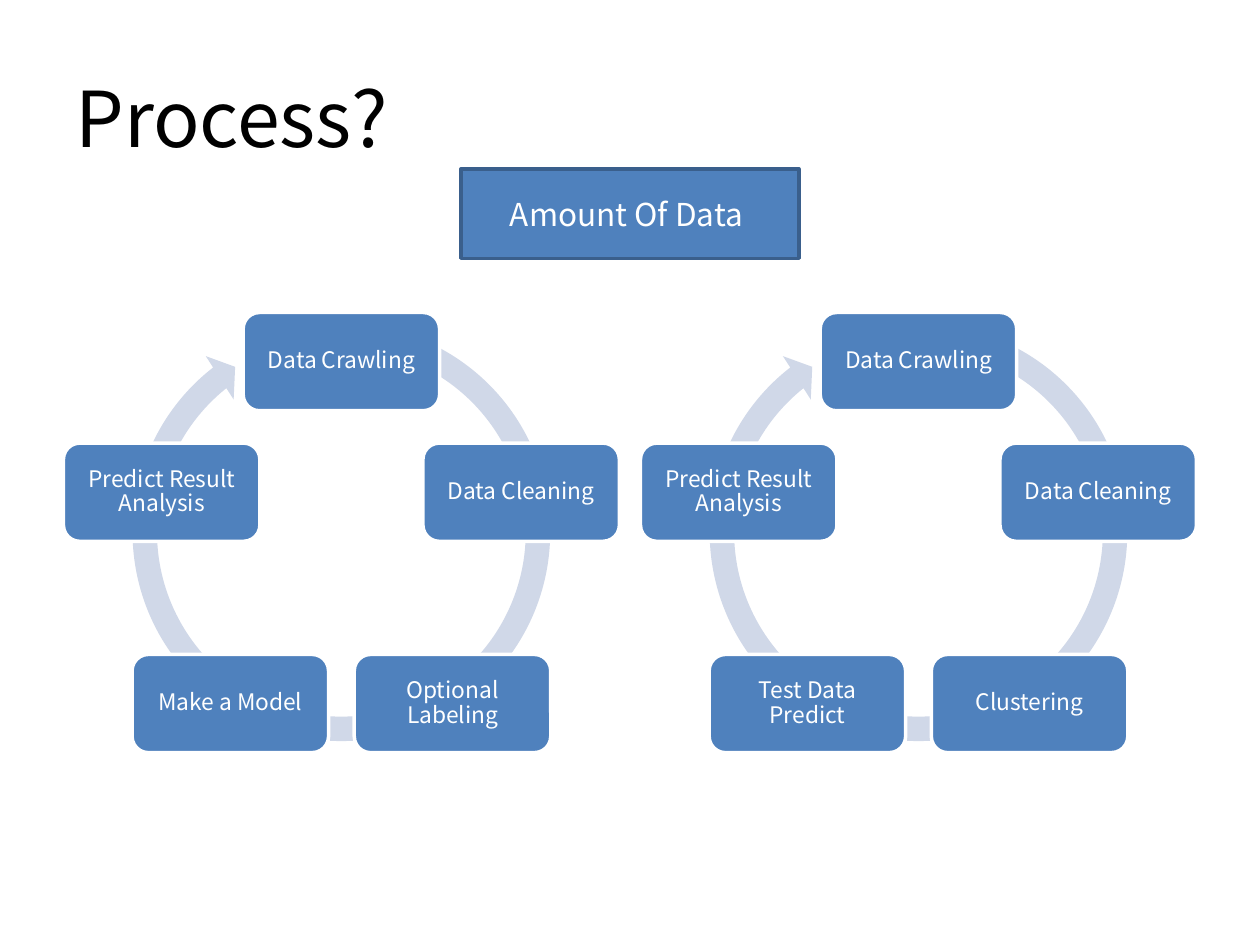
import math
from dataclasses import dataclass

from pptx import Presentation
from pptx.dml.color import RGBColor
from pptx.enum import shapes, text
from pptx.util import Inches, Pt

FONT = "Noto Sans CJK KR"
BLACK = RGBColor(0x00, 0x00, 0x00)
WHITE = RGBColor(0xFF, 0xFF, 0xFF)
BLUE = RGBColor(0x4F, 0x81, 0xBD)
DARK_BLUE = RGBColor(0x3A, 0x5F, 0x8C)
PALE_BLUE = RGBColor(0xD0, 0xD8, 0xE8)

STEP_W, STEP_H = 1.56, 0.78
STEP_RADIUS, STEP_CENTER_Y = 1.5, 4.37
ARROW_SIZE, ARROW_TOP = 3.53, 2.46
ARROW_ADJUSTMENTS = (0.055, 3.307, 139.063, 173.071, 0.058)


@dataclass
class Cycle:
    center_x: float
    steps: tuple[str, ...]


CYCLES = (
    Cycle(2.71, ("Data Crawling", "Data Cleaning", "Optional Labeling",
                 "Make a Model", "Predict Result Analysis")),
    Cycle(7.29, ("Data Crawling", "Data Cleaning", "Clustering",
                 "Test Data Predict", "Predict Result Analysis")),
)


def set_text(s, words: str, size: float, color: RGBColor, align, spacing=None) -> None:
    tf = s.text_frame
    tf.text = words
    tf.word_wrap = True
    tf.vertical_anchor = text.MSO_ANCHOR.MIDDLE
    p = tf.paragraphs[0]
    p.alignment = align
    p.line_spacing = spacing
    font = p.runs[0].font
    font.name, font.size, font.color.rgb = FONT, Pt(size), color


def add_filled(sp, kind, left: float, top: float, width: float, height: float,
               fill: RGBColor, line: RGBColor | None = None):
    s = sp.add_shape(kind, Inches(left), Inches(top), Inches(width), Inches(height))
    s.shadow.inherit = False
    s.fill.solid()
    s.fill.fore_color.rgb = fill
    if line is None:
        s.line.fill.background()
    else:
        s.line.color.rgb = line
        s.line.width = Pt(2)
    return s


def add_step(sp, words: str, x: float, y: float) -> None:
    """Draw one rounded box centred on x, y."""
    s = add_filled(sp, shapes.MSO_SHAPE.ROUNDED_RECTANGLE, x - STEP_W / 2,
                   y - STEP_H / 2, STEP_W, STEP_H, BLUE, WHITE)
    tf = s.text_frame
    tf.margin_left = tf.margin_right = Inches(0.05)
    tf.margin_top = tf.margin_bottom = Inches(0.05)
    set_text(s, words, 13, WHITE, text.PP_ALIGN.CENTER, 0.9)


def add_cycle(sp, cycle: Cycle) -> None:
    """Draw the round arrow, then the steps clockwise from the top."""
    arrow = add_filled(sp, shapes.MSO_SHAPE.CIRCULAR_ARROW,
                       cycle.center_x - ARROW_SIZE / 2, ARROW_TOP,
                       ARROW_SIZE, ARROW_SIZE, PALE_BLUE)
    for i, value in enumerate(ARROW_ADJUSTMENTS):
        arrow.adjustments[i] = value
    for i, words in enumerate(cycle.steps):
        angle = math.tau * i / len(cycle.steps)
        add_step(sp, words, cycle.center_x + STEP_RADIUS * math.sin(angle),
                 STEP_CENTER_Y - STEP_RADIUS * math.cos(angle))


def main() -> None:
    prs = Presentation()
    prs.slide_width, prs.slide_height = Inches(10), Inches(7.5)
    sp = prs.slides.add_slide(prs.slide_layouts[6]).shapes

    title = sp.add_textbox(Inches(0.5), Inches(0.3), Inches(9), Inches(1.25))
    set_text(title, "Process?", 44, BLACK, text.PP_ALIGN.LEFT)

    for cycle in CYCLES:
        add_cycle(sp.add_group_shape().shapes, cycle)

    amount = add_filled(sp, shapes.MSO_SHAPE.FLOWCHART_PROCESS,
                        3.66, 1.34, 2.68, 0.71, BLUE, DARK_BLUE)
    set_text(amount, "Amount Of Data ", 18, WHITE, text.PP_ALIGN.CENTER)

    prs.save("out.pptx")


if __name__ == "__main__":
    main()
